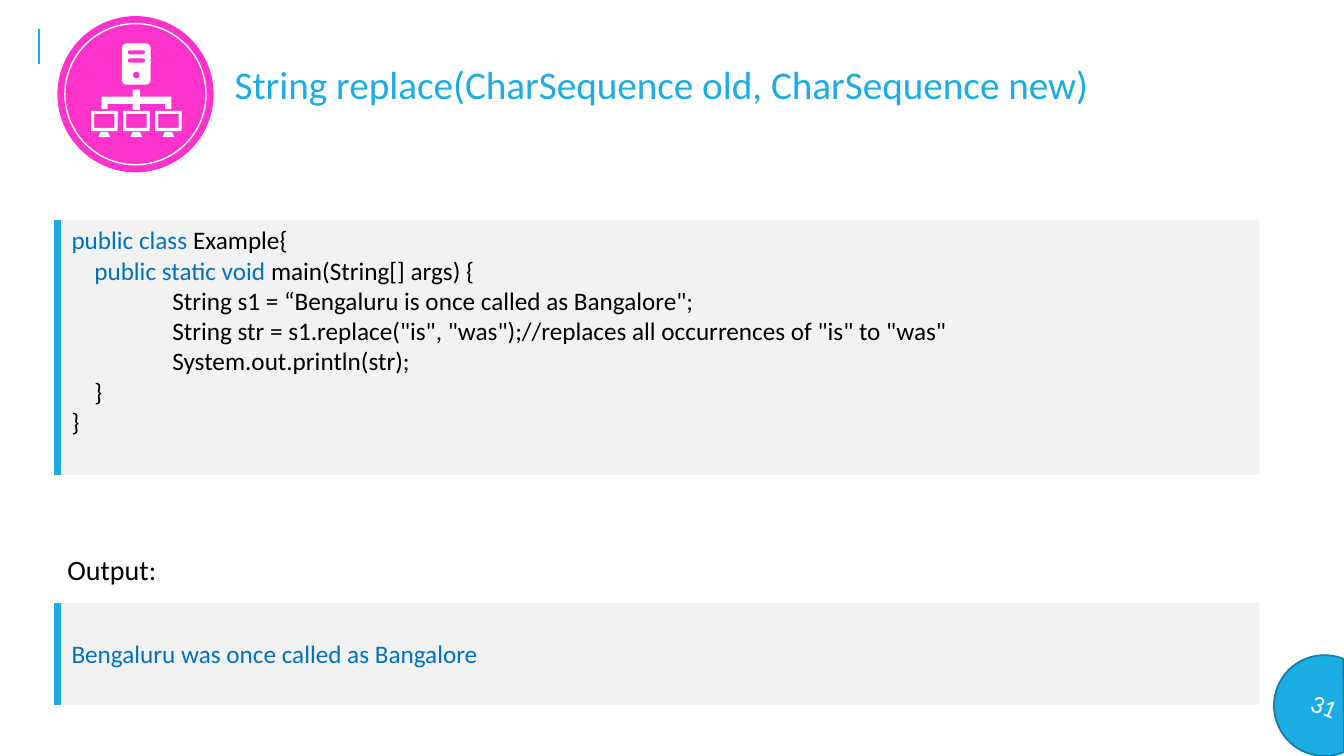
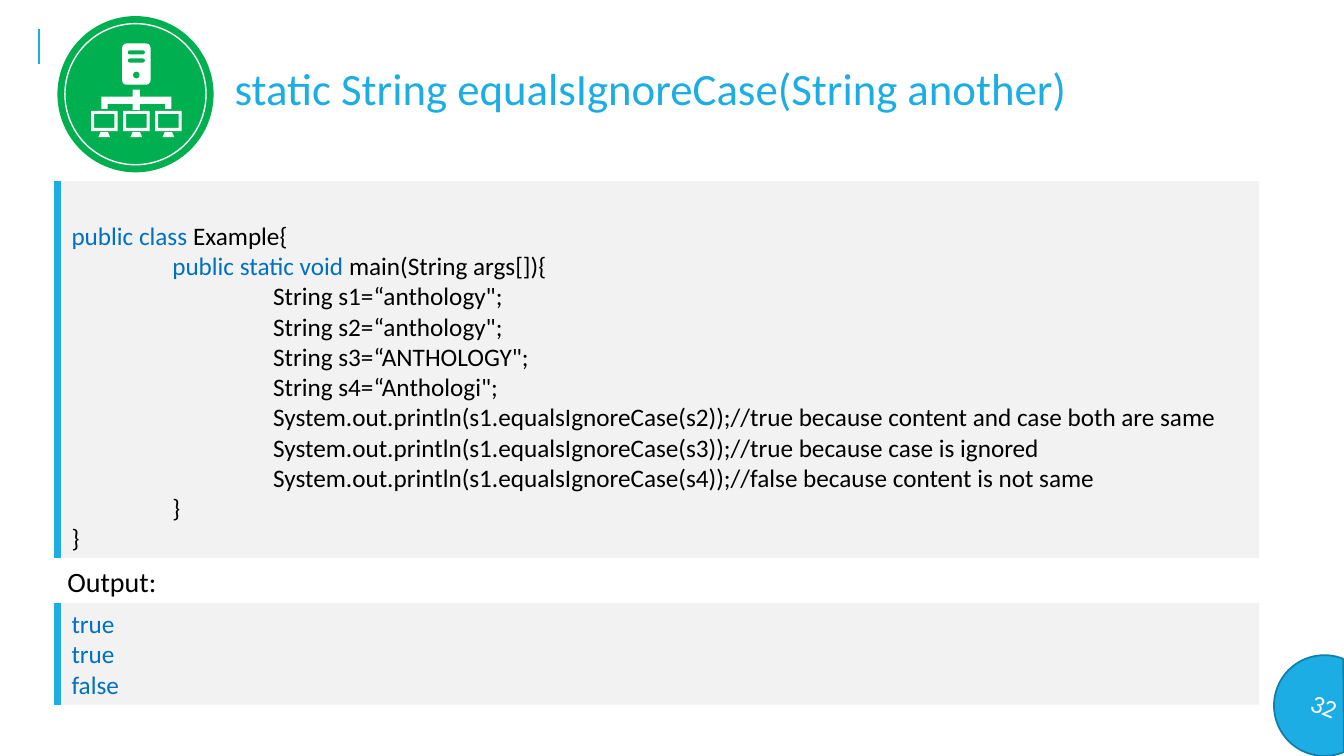
from lxml.etree import SubElement
from pptx import Presentation
from pptx.dml.color import RGBColor
from pptx.enum.shapes import MSO_CONNECTOR, MSO_SHAPE
from pptx.enum.text import MSO_ANCHOR, PP_ALIGN
from pptx.oxml.ns import qn
from pptx.util import Pt

SKY = RGBColor(0x1C, 0xAD, 0xE4)
DEEP_SKY = RGBColor(0x14, 0x7E, 0xA6)
KEYWORD = RGBColor(0x00, 0x70, 0xC0)
PANEL = RGBColor(0xF2, 0xF2, 0xF2)
BLACK = RGBColor(0x00, 0x00, 0x00)
WHITE = RGBColor(0xFF, 0xFF, 0xFF)
PINK = RGBColor(0xFF, 0x33, 0xCC)
GREEN = RGBColor(0x00, 0xB0, 0x50)
FONT = "Calibri"

TAB = 72
HALF_STEP = 16.3

# Each code line: indent, keywords, remaining text.
SLIDES = [
    {
        "title": "String replace(CharSequence old, CharSequence new)",
        "title_size": 28,
        "number": "31",
        "badge": PINK,
        "code_top": 157,
        "code_height": 182,
        "code_anchor": MSO_ANCHOR.TOP,
        "label_top": 391,
        "code": [
            (0, "public class ", "Example{"),
            (HALF_STEP, "public static void ", "main(String[] args) {"),
            (TAB, "", "String s1 = “Bengaluru is once called as Bangalore\";"),
            (TAB, "", "String str = s1.replace(\"is\", \"was\");"
                      "//replaces all occurrences of \"is\" to \"was\""),
            (TAB, "", "System.out.println(str);"),
            (HALF_STEP, "", "}"),
            (0, "", "}"),
        ],
        "output": ["Bengaluru was once called as Bangalore"],
    },
    {
        "title": "static String equalsIgnoreCase(String another)",
        "title_size": 32,
        "number": "32",
        "badge": GREEN,
        "code_top": 129.5,
        "code_height": 269,
        "code_anchor": MSO_ANCHOR.BOTTOM,
        "label_top": 399.5,
        "code": [
            (0, "public class ", "Example{"),
            (TAB, "public static void ", "main(String args[]){"),
            (2 * TAB, "", "String s1=“anthology\";"),
            (2 * TAB, "", "String s2=“anthology\";"),
            (2 * TAB, "", "String s3=“ANTHOLOGY\";"),
            (2 * TAB, "", "String s4=“Anthologi\";"),
            (2 * TAB, "", "System.out.println(s1.equalsIgnoreCase(s2));"
                          "//true because content and case both are same"),
            (2 * TAB, "", "System.out.println(s1.equalsIgnoreCase(s3));"
                          "//true because case is ignored"),
            (2 * TAB, "", "System.out.println(s1.equalsIgnoreCase(s4));"
                          "//false because content is not same"),
            (TAB, "", "}"),
            (0, "", "}"),
        ],
        "output": ["true", "true", "false"],
    },
]

PANEL_LEFT, PANEL_WIDTH = 44, 855.4
BAR_X = 41
OUTPUT_TOP, OUTPUT_HEIGHT = 430.6, 72.7

BADGE_LEFT, BADGE_TOP, BADGE_SIZE, RING_GAP = 41, 11.5, 111.6, 5.4
ICON_CENTER = 97.4
MONITOR_PITCH = 22.9
TREE_HALF_OUTLINE = [(2.6, 64.1), (2.6, 69.1), (25, 69.1), (25, 77.8),
                     (20.5, 77.8), (20.5, 74.2), (2.6, 74.2), (2.6, 78.5)]


def paint(shape, fill, line=None, line_width=1):
    shape.shadow.inherit = False
    shape.fill.solid()
    shape.fill.fore_color.rgb = fill
    if line is None:
        shape.line.fill.background()
    else:
        shape.line.color.rgb = line
        shape.line.width = Pt(line_width)


def add_shape(shapes, kind, left, top, width, height, fill, line=None, line_width=1):
    shape = shapes.add_shape(kind, Pt(left), Pt(top), Pt(width), Pt(height))
    paint(shape, fill, line, line_width)
    return shape


def add_vertical_line(shapes, x, top, bottom, width):
    connector = shapes.add_connector(
        MSO_CONNECTOR.STRAIGHT, Pt(x), Pt(top), Pt(x), Pt(bottom))
    connector.line.color.rgb = SKY
    connector.line.width = Pt(width)
    SubElement(connector._element.spPr, qn("a:effectLst"))


def add_run(paragraph, text, size, color):
    run = paragraph.add_run()
    run.text = text
    run.font.name = FONT
    run.font.size = Pt(size)
    run.font.color.rgb = color


def add_label(slide, text, left, top, width, height, size, color):
    frame = slide.shapes.add_textbox(Pt(left), Pt(top), Pt(width), Pt(height)).text_frame
    frame.word_wrap = True
    add_run(frame.paragraphs[0], text, size, color)


def add_panel(slide, top, height, anchor, lines):
    """Add a grey panel with a blue bar; lines hold indent, keywords and text."""
    group = slide.shapes.add_group_shape()
    panel = add_shape(group.shapes, MSO_SHAPE.RECTANGLE,
                      PANEL_LEFT, top, PANEL_WIDTH, height, PANEL)
    add_vertical_line(group.shapes, BAR_X, top, top + height, 4.5)
    frame = panel.text_frame
    frame.word_wrap = True
    frame.vertical_anchor = anchor
    for index, (indent, keywords, text) in enumerate(lines):
        paragraph = frame.add_paragraph() if index else frame.paragraphs[0]
        paragraph.alignment = PP_ALIGN.LEFT
        paragraph._p.get_or_add_pPr().set("marL", str(Pt(indent)))
        for part, color in ((keywords, KEYWORD), (text, BLACK)):
            if part:
                add_run(paragraph, part, 18, color)


def add_badge(slide, color):
    """Add the round badge with a server wired to three monitors."""
    shapes = slide.shapes.add_group_shape().shapes

    def add_centered(kind, top, width, height, fill, center=ICON_CENTER):
        return add_shape(shapes, kind, center - width / 2, top, width, height, fill)

    for gap, line in ((0, None), (RING_GAP, WHITE)):
        size = BADGE_SIZE - 2 * gap
        add_shape(shapes, MSO_SHAPE.OVAL, BADGE_LEFT + gap, BADGE_TOP + gap,
                  size, size, color, line)

    server = add_centered(MSO_SHAPE.ROUNDED_RECTANGLE, 31, 20.4, 29.5, WHITE)
    server.adjustments[0] = 0.16
    for slot_top in (36, 41.8):
        slot = add_centered(MSO_SHAPE.ROUNDED_RECTANGLE, slot_top, 12.2, 2.9, color)
        slot.adjustments[0] = 0.5
    add_centered(MSO_SHAPE.OVAL, 51.2, 4.6, 4.8, color)

    outline = [(Pt(ICON_CENTER + x), Pt(y)) for x, y in TREE_HALF_OUTLINE]
    outline += [(Pt(ICON_CENTER - x), Pt(y)) for x, y in reversed(TREE_HALF_OUTLINE)]
    builder = shapes.build_freeform(*outline[0])
    builder.add_line_segments(outline[1:], close=True)
    paint(builder.convert_to_shape(), WHITE)

    for step in (-1, 0, 1):
        center = ICON_CENTER + step * MONITOR_PITCH
        screen = add_centered(MSO_SHAPE.FRAME, 79.2, 18.9, 14.4, WHITE, center)
        screen.adjustments[0] = 0.15
        stand = add_centered(MSO_SHAPE.TRAPEZOID, 94.3, 8.4, 3.6, WHITE, center)
        stand.adjustments[0] = 0.44


def add_page_number(slide, number):
    chord = add_shape(slide.shapes, MSO_SHAPE.CHORD, 910, 468, 72, 72, SKY, DEEP_SKY, 1.25)
    chord.adjustments[0] = 27
    chord.adjustments[1] = 161.865
    chord.rotation = 22.2
    chord.text_frame.vertical_anchor = MSO_ANCHOR.MIDDLE
    paragraph = chord.text_frame.paragraphs[0]
    paragraph.alignment = PP_ALIGN.CENTER
    add_run(paragraph, number, 18, WHITE)


def build_slide(presentation, content):
    slide = presentation.slides.add_slide(presentation.slide_layouts[6])
    add_vertical_line(slide.shapes, 28, 21, 46, 1.5)
    add_label(slide, content["title"], 160.5, 39.5, 738, 46, content["title_size"], SKY)
    add_page_number(slide, content["number"])
    add_panel(slide, content["code_top"], content["code_height"],
              content["code_anchor"], content["code"])
    add_panel(slide, OUTPUT_TOP, OUTPUT_HEIGHT, MSO_ANCHOR.MIDDLE,
              [(0, line, "") for line in content["output"]])
    add_label(slide, "Output:", BAR_X, content["label_top"], 78.5, 31.5, 20, BLACK)
    add_badge(slide, content["badge"])


def main():
    presentation = Presentation()
    presentation.slide_width = Pt(960)
    presentation.slide_height = Pt(540)
    for content in SLIDES:
        build_slide(presentation, content)
    presentation.save("out.pptx")


if __name__ == "__main__":
    main()
